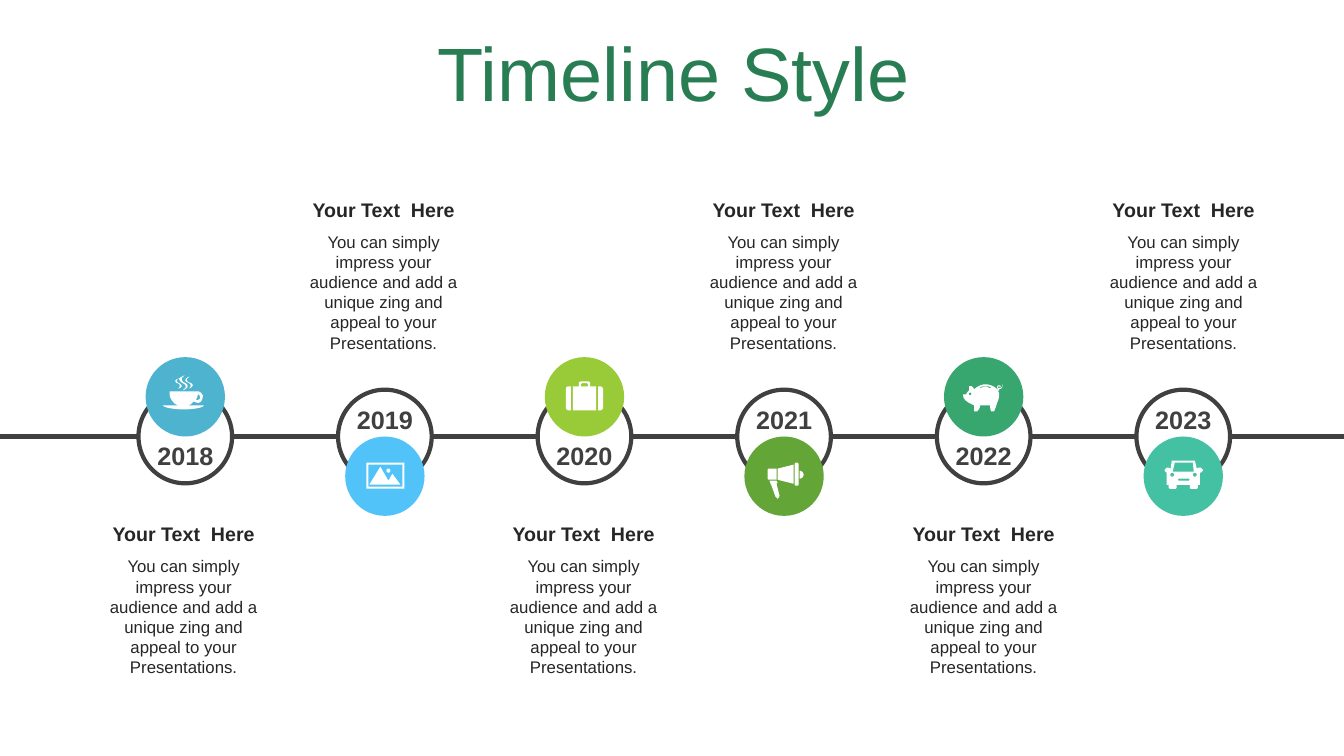
from dataclasses import dataclass
from math import cos, pi, sin

from lxml import etree
from pptx import Presentation
from pptx.dml.color import RGBColor
from pptx.enum.shapes import MSO_CONNECTOR, MSO_SHAPE
from pptx.enum.text import MSO_ANCHOR, MSO_AUTO_SIZE, PP_ALIGN
from pptx.oxml.ns import qn
from pptx.util import Cm, Pt

OVAL, STRAIGHT = MSO_SHAPE.OVAL, MSO_CONNECTOR.STRAIGHT
TOP, MIDDLE = MSO_ANCHOR.TOP, MSO_ANCHOR.MIDDLE
CENTER, NO_FIT = PP_ALIGN.CENTER, MSO_AUTO_SIZE.NONE

GREEN = RGBColor(0x29, 0x7D, 0x53)
DARK = RGBColor(0x40, 0x40, 0x40)
TEXT = RGBColor(0x26, 0x26, 0x26)
WHITE = RGBColor(0xFF, 0xFF, 0xFF)
SKY = RGBColor(0x4E, 0xB3, 0xCF)
BLUE = RGBColor(0x51, 0xC3, 0xF9)
LIME = RGBColor(0x99, 0xCB, 0x38)
LEAF = RGBColor(0x63, 0xA5, 0x37)
JADE = RGBColor(0x37, 0xA7, 0x6F)
TEAL = RGBColor(0x44, 0xC1, 0xA3)

# Lengths in centimetres
SLIDE_W, SLIDE_H = 33.87, 19.05
AXIS_Y = 11.0
FIRST_X, STEP = 4.67, 5.03
RING, DISC = 2.36, 2.0
CAPTION_X, CAPTION_STEP, CAPTION_W = 2.46, 5.04, 4.34
DISC_GRID = 79  # icon grid units across a disc

HEADING = "Your Text  Here"
BODY = ("You can simply impress your audience and add a unique zing "
        "and appeal to your Presentations.")

Point = tuple[float, float]


@dataclass
class Icon:
    """Outlines on the disc grid: points, with C before each cubic curve."""
    outlines: tuple[str, ...]
    dots: tuple[tuple[float, float, float], ...] = ()  # x, y, radius


@dataclass
class Milestone:
    year: str
    color: RGBColor
    icon: Icon


CUP = Icon((
    "52,37 C 52,39 51,41 50,42 C 51,43 52,43 53,42 C 54,42 55,40 54,39 C 54,38 53,37 52,37",
    "52,34 C 54,34 56,36 57,38 C 57,41 56,44 54,45 C 52,46 50,45 48,44 C 47,45 46,46 45,47 "
    "42,48 58,48 C 58,50 49,52 38,52 C 27,52 18,50 17,48 33,48 30,47 C 26,44 23,39 24,34",
    "34,21 C 32,22 31,22 31,24 C 32,26 36,26 36,29 C 35,30 35,31 32,31 C 34,30 34,30 34,28 "
    "C 34,26 31,26 30,25 C 29,23 30,22 34,21",
    "44,19 C 42,21 41,21 41,23 C 42,26 47,25 47,28 C 46,30 45,31 43,31 C 44,30 45,30 45,28 "
    "C 45,26 41,25 40,24 C 39,22 40,21 44,19",
    "39,18 C 37,20 36,20 36,22 C 36,26 42,25 42,29 C 41,31 40,32 37,33 C 39,31 40,31 40,29 "
    "C 40,26 35,26 34,23 C 32,21 35,20 39,18"))
PHOTO = Icon((
    "35,30 43,44 47,37 55,48 24,48", "23,28 23,50 57,50 57,28",
    "21,26 59,26 59,52 21,52"), ((43, 34, 2),))
SUITCASE = Icon((
    "53,29 55,29 C 56,29 58,30 58,32 58,50 C 58,52 56,53 55,53 53,53",
    "24,29 26,29 26,53 24,53 C 22,53 21,52 21,50 21,32 C 21,30 22,29 24,29",
    "37,26 36,27 36,29 43,29 43,27 42,26",
    "36,24 43,24 45,25 45,29 51,29 51,53 28,53 28,29 34,29 34,25"))
MEGAPHONE = Icon((
    "32,44 33,46 32,47 35,59 34,61 33,62 31,60 27,49 26,47 25,44",
    "55,34 C 57,34 59,36 59,38 C 59,40 57,42 55,42",
    "24,32 32,32 32,43 24,43 23,42 23,33", "49,28 49,47 33,43 33,32",
    "51,26 53,26 54,27 54,48 53,49 51,49 50,48 50,27"))
PIG = Icon((
    "41,29 C 39,29 38,29 36,30 36,31 C 39,29 43,29 46,31 47,30 C 45,29 43,29 41,29",
    "41,27 C 45,27 50,29 52,31 53,32 54,32 C 53,31 53,31 53,30 C 53,28 54,28 55,28 "
    "C 56,28 57,29 56,30 56,31 C 57,30 58,31 58,27 C 59,30 57,32 55,32 54,34 55,36 "
    "C 55,40 54,44 53,45 C 52,49 51,51 50,54 47,54 C 46,52 46,50 46,48 36,48 "
    "C 36,51 34,53 33,54 30,54 30,48 C 26,46 18,43 19,37 22,37 C 23,35 24,34 25,33 "
    "25,29 C 28,28 29,30 30,32 C 33,29 38,27 41,27"),
    ((26, 36.5, 1.3), (54.8, 30, 1)))
CAR = Icon((
    "35,42 45,42 46,43 45,44 35,44 34,43", "31,26 29,35 50,35 49,26",
    "28,24 51,24 53,32 54,31 57,31 59,33 59,34 57,36 56,36 56,48 54,48 54,51 53,52 47,52 "
    "46,51 46,48 33,48 33,51 32,52 26,52 25,51 25,48 23,48 23,36 21,34 21,33 23,31 25,31 "
    "27,32"), ((51, 38, 2), (28.5, 38, 2)))

MILESTONES = (
    Milestone("2018", SKY, CUP), Milestone("2019", BLUE, PHOTO),
    Milestone("2020", LIME, SUITCASE), Milestone("2021", LEAF, MEGAPHONE),
    Milestone("2022", JADE, PIG), Milestone("2023", TEAL, CAR))


def trace(outline: str) -> list[Point]:
    """Turn an outline into points, sampling its curves."""
    points: list[Point] = []
    tokens = iter(outline.split())

    def read(token: str) -> Point:
        x, y = token.split(",")
        return float(x), float(y)

    for token in tokens:
        if token != "C":
            points.append(read(token))
            continue
        a, b, c, d = points[-1], *(read(next(tokens)) for _ in range(3))
        for t in (0.2, 0.4, 0.6, 0.8, 1):
            s = 1 - t
            points.append(tuple(s**3 * a[k] + 3*s*s*t * b[k] + 3*s*t*t * c[k] + t**3 * d[k]
                                for k in (0, 1)))
    return points


def circle(x: float, y: float, radius: float) -> list[Point]:
    return [(x + radius * cos(k * pi / 8), y + radius * sin(k * pi / 8)) for k in range(16)]


def add_icon(shapes, icon: Icon, left: float, top: float) -> None:
    contours = [trace(o) for o in icon.outlines] + [circle(*dot) for dot in icon.dots]
    builder = None
    for contour in contours:
        points = [(Cm(x * DISC / DISC_GRID), Cm(y * DISC / DISC_GRID)) for x, y in contour]
        if builder is None:
            builder = shapes.build_freeform(*points[0])
        else:
            builder.move_to(*points[0])
        builder.add_line_segments(points[1:], close=True)
    sp = builder.convert_to_shape(Cm(left), Cm(top))
    sp.shadow.inherit = False
    sp.fill.solid()
    sp.fill.fore_color.rgb = WHITE
    sp.line.fill.background()


def add_circle(shapes, x: float, top: float, size: float, fill: RGBColor | None = None) -> None:
    sp = shapes.add_shape(OVAL, Cm(x - size / 2), Cm(top), Cm(size), Cm(size))
    sp.shadow.inherit = False
    if fill is None:
        sp.fill.background()
        sp.line.color.rgb = DARK
        sp.line.width = Pt(3)
    else:
        sp.fill.solid()
        sp.fill.fore_color.rgb = fill
        sp.line.fill.background()


def add_axis(shapes, start: float, end: float) -> None:
    line = shapes.add_connector(STRAIGHT, Cm(start), Cm(AXIS_Y), Cm(end), Cm(AXIS_Y))
    line.line.color.rgb = DARK
    line.line.width = Pt(3)
    etree.SubElement(line._element.spPr, qn("a:effectLst"))


def set_text(sp, text: str, size: int, color: RGBColor, bold: bool, anchor) -> None:
    tf = sp.text_frame
    tf.word_wrap = True
    tf.auto_size = NO_FIT
    tf.vertical_anchor = anchor
    p = tf.paragraphs[0]
    p.text = text
    p.alignment = CENTER
    p.font.name, p.font.size, p.font.bold = "Arial", Pt(size), bold
    p.font.color.rgb = color


def add_text(shapes, left: float, top: float, width: float, height: float, text: str,
             size: int, color: RGBColor = TEXT, bold: bool = True, anchor=MIDDLE) -> None:
    sp = shapes.add_textbox(Cm(left), Cm(top), Cm(width), Cm(height))
    set_text(sp, text, size, color, bold, anchor)


def main() -> None:
    prs = Presentation()
    prs.slide_width, prs.slide_height = Cm(SLIDE_W), Cm(SLIDE_H)
    slide = prs.slides.add_slide(prs.slide_layouts[5])
    shapes = slide.shapes

    # Title
    title = shapes.title
    title.left, title.top, title.width, title.height = Cm(0.9), Cm(0.93), Cm(32.15), Cm(2)
    set_text(title, "Timeline Style", 54, GREEN, False, MIDDLE)
    title.text_frame.paragraphs[0].line_spacing = 0.9

    # Milestones alternate above and below the axis
    axis_start = 0.0
    for i, milestone in enumerate(MILESTONES):
        x = FIRST_X + i * STEP
        icon_above = i % 2 == 0
        add_axis(shapes, axis_start, x - RING / 2)
        axis_start = x + RING / 2
        add_circle(shapes, x, AXIS_Y - RING / 2, RING)
        disc_top = AXIS_Y - DISC if icon_above else AXIS_Y
        add_circle(shapes, x, disc_top, DISC, milestone.color)
        add_icon(shapes, milestone.icon, x - DISC / 2, disc_top)
        add_text(shapes, x - RING / 2, 10.97 if icon_above else 10.06, RING, 1.02,
                 milestone.year, 18, DARK)

        left, top = CAPTION_X + i * CAPTION_STEP, 13.03 if icon_above else 4.85
        add_text(shapes, left, top, CAPTION_W, 0.86, HEADING, 14)
        add_text(shapes, left, top + 0.86, CAPTION_W, 3.33, BODY, 12, bold=False, anchor=TOP)
    add_axis(shapes, axis_start, SLIDE_W)

    prs.save("out.pptx")


if __name__ == "__main__":
    main()
